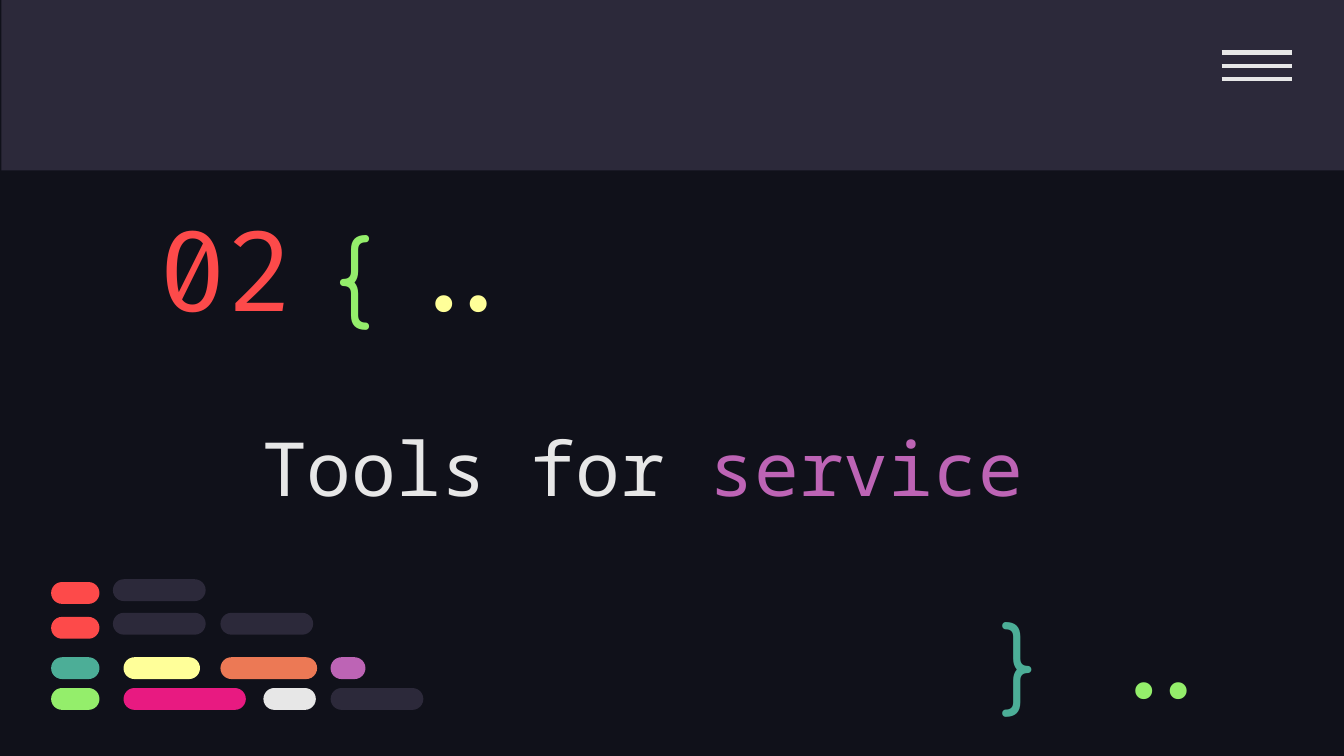
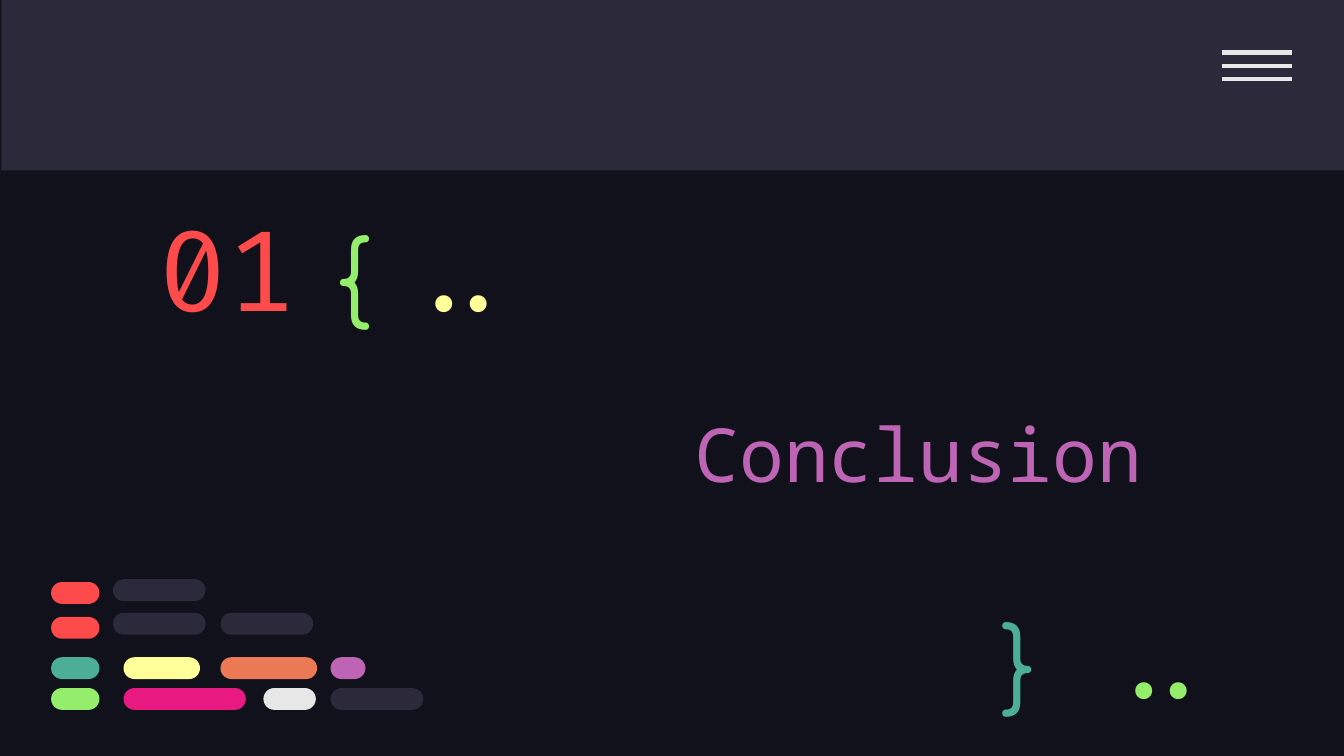
from dataclasses import dataclass

from lxml import etree
from pptx import Presentation
from pptx.dml.color import RGBColor
from pptx.enum.shapes import MSO_CONNECTOR, MSO_SHAPE
from pptx.enum.text import MSO_ANCHOR, MSO_AUTO_SIZE, PP_ALIGN
from pptx.oxml.ns import qn
from pptx.util import Pt

RECT, PILL = MSO_SHAPE.RECTANGLE, MSO_SHAPE.ROUNDED_RECTANGLE
STRAIGHT = MSO_CONNECTOR.STRAIGHT
TOP, MIDDLE = MSO_ANCHOR.TOP, MSO_ANCHOR.MIDDLE
LEFT, RIGHT = PP_ALIGN.LEFT, PP_ALIGN.RIGHT
NO_AUTOFIT = MSO_AUTO_SIZE.NONE


@dataclass(frozen=True)
class Theme:
    night: str = "10111A"
    slate: str = "2C293A"
    white: str = "E7E7E7"
    red: str = "FD4A4A"
    green: str = "94EE6B"
    teal: str = "4CAE97"
    yellow: str = "FFFF99"
    orange: str = "EC7955"
    purple: str = "BD64B5"
    pink: str = "E81A81"
    title_font: str = "Noto Sans Mono"
    code_font: str = "Fira Code"
    brace_font: str = "Comfortaa"
    title_size: int = 40
    number_size: int = 60
    mark_size: int = 50


T = Theme()
SLIDE_W, SLIDE_H = 720, 405
PAD = 7.2

# Code pills: left, top, width, colour
PILL_H = 11.7
PILLS = [
    (27.4, 311.8, 25.9, T.red),
    (27.4, 330.5, 25.9, T.red),
    (27.4, 352.1, 25.9, T.teal),
    (66.2, 352.1, 41, T.yellow),
    (118.1, 352.1, 51.8, T.orange),
    (177.1, 352.1, 18.7, T.purple),
    (27.4, 368.6, 25.9, T.green),
    (66.2, 368.6, 65.5, T.pink),
    (141.1, 368.6, 28.1, T.white),
    (177.1, 368.6, 49.7, T.slate),
    (60.5, 328.3, 49.7, T.slate),
    (60.5, 310.3, 49.7, T.slate),
    (118.1, 328.3, 49.7, T.slate),
]

# Code marks: text, box, format
MARKS = [
    ("{", (172.8, 108, 55.4, 68.4), dict(font=T.brace_font, color=T.green)),
    ("}", (529.2, 315.4, 41, 59.8), dict(font=T.brace_font, color=T.teal)),
    ("..", (583.2, 332.6, 77, 43.2),
     dict(font=T.code_font, color=T.green, anchor=MIDDLE, align=RIGHT)),
    ("..", (208.1, 125.3, 77, 43.2),
     dict(font=T.code_font, color=T.yellow, anchor=MIDDLE, align=RIGHT)),
]


def rgb(color):
    return RGBColor.from_string(color)


def write(sp, runs, *, font, size, anchor=TOP, align=LEFT):
    """Fill a shape with one paragraph of (text, colour) runs."""
    tf = sp.text_frame
    tf.word_wrap = True
    tf.auto_size = NO_AUTOFIT
    tf.vertical_anchor = anchor
    tf.margin_left = tf.margin_top = tf.margin_right = tf.margin_bottom = Pt(PAD)
    p = tf.paragraphs[0]
    p.alignment = align
    p.space_before = Pt(0)
    for text, color in runs:
        r = p.add_run()
        r.text = text
        r.font.name, r.font.size = font, Pt(size)
        r.font.color.rgb = rgb(color)


def place(sp, box):
    sp.left, sp.top, sp.width, sp.height = map(Pt, box)


def add_block(shapes, kind, box, color):
    sp = shapes.add_shape(kind, *map(Pt, box))
    sp.shadow.inherit = False
    sp.fill.solid()
    sp.fill.fore_color.rgb = rgb(color)
    sp.line.fill.background()
    return sp


def add_header(s):
    """Top band with the three-line menu icon."""
    add_block(s.shapes, RECT, (0.7, 0, SLIDE_W, 91.4), T.slate)
    menu = s.shapes.add_group_shape()
    for i in range(3):
        y = Pt(28.1 + 7.2 * i)
        line = menu.shapes.add_connector(STRAIGHT, Pt(654.5), y, Pt(691.9), y)
        line.line.color.rgb = rgb(T.white)
        line.line.width = Pt(2.25)
        etree.SubElement(line._element.spPr, qn("a:effectLst"))


def add_marks(s):
    for text, box, style in MARKS:
        style = dict(style)
        color = style.pop("color")
        sp = s.shapes.add_textbox(*map(Pt, box))
        write(sp, [(text, color)], size=T.mark_size, **style)


def add_pills(s):
    group = s.shapes.add_group_shape()
    for left, top, width, color in PILLS:
        sp = add_block(group.shapes, PILL, (left, top, width, PILL_H), color)
        sp.adjustments[0] = 0.5


def add_section(prs, number, title, box, align=LEFT):
    s = prs.slides.add_slide(prs.slide_layouts[0])
    add_header(s)
    # Title and section number
    place(s.shapes.title, box)
    write(s.shapes.title, title, font=T.title_font, size=T.title_size,
          anchor=MIDDLE, align=align)
    number_sp = s.placeholders[1]
    place(number_sp, (77.8, 106.6, 130.3, 72))
    write(number_sp, [(number, T.red)], font=T.code_font,
          size=T.number_size, anchor=MIDDLE)
    # Code decoration
    add_marks(s)
    add_pills(s)


def main():
    prs = Presentation()
    prs.slide_width, prs.slide_height = Pt(SLIDE_W), Pt(SLIDE_H)
    bg = prs.slide_master.background.fill
    bg.solid()
    bg.fore_color.rgb = rgb(T.night)

    add_section(prs, "02", [("Tools for ", T.white), ("service", T.purple)],
                (133.2, 228.2, 484.6, 43.2))
    add_section(prs, "01", [("Conclusion ", T.purple)],
                (53.3, 198, 589.7, 89.3), align=RIGHT)
    prs.save("out.pptx")


if __name__ == "__main__":
    main()
